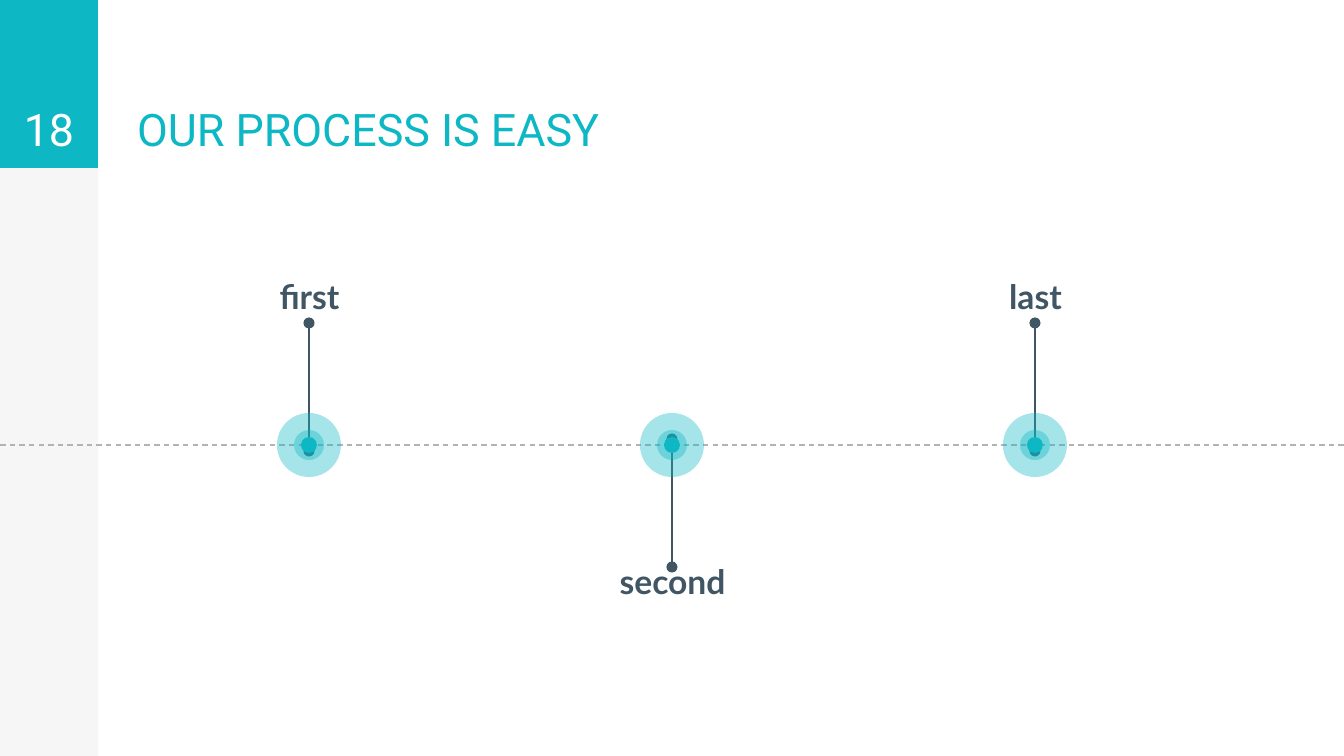
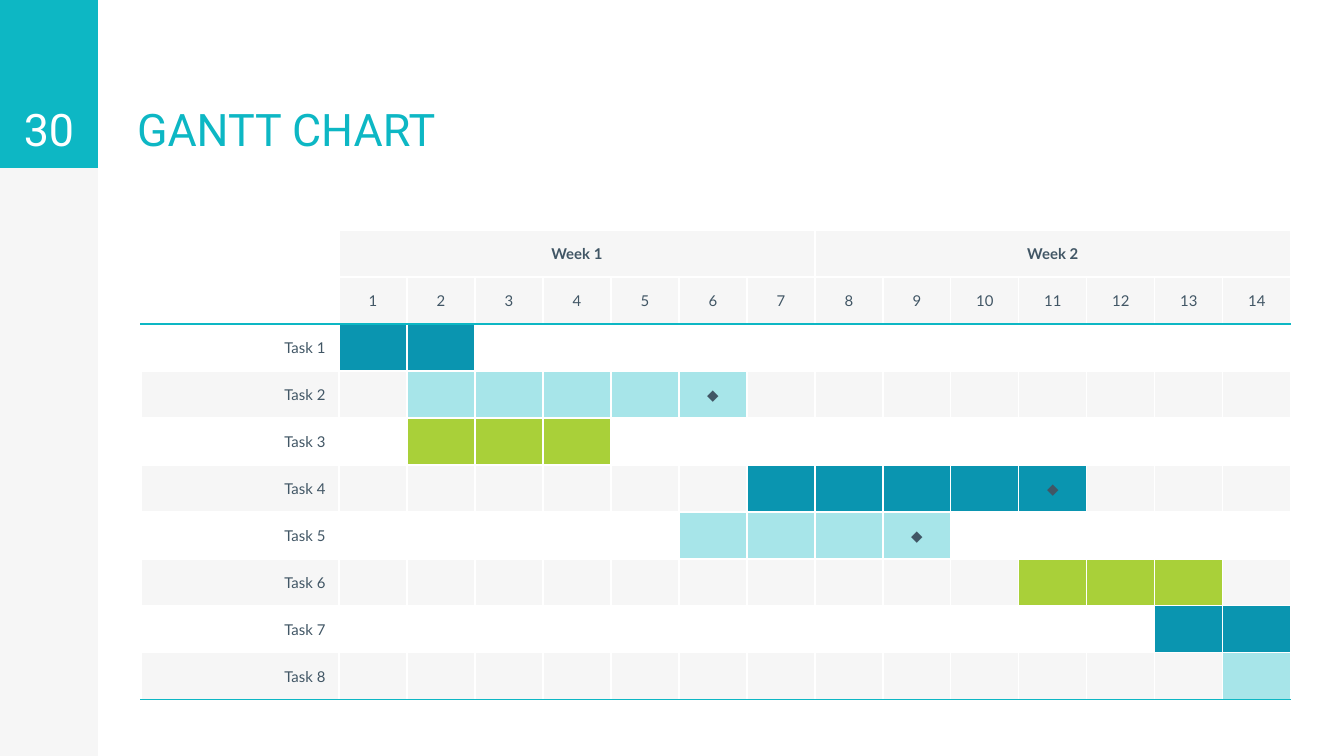
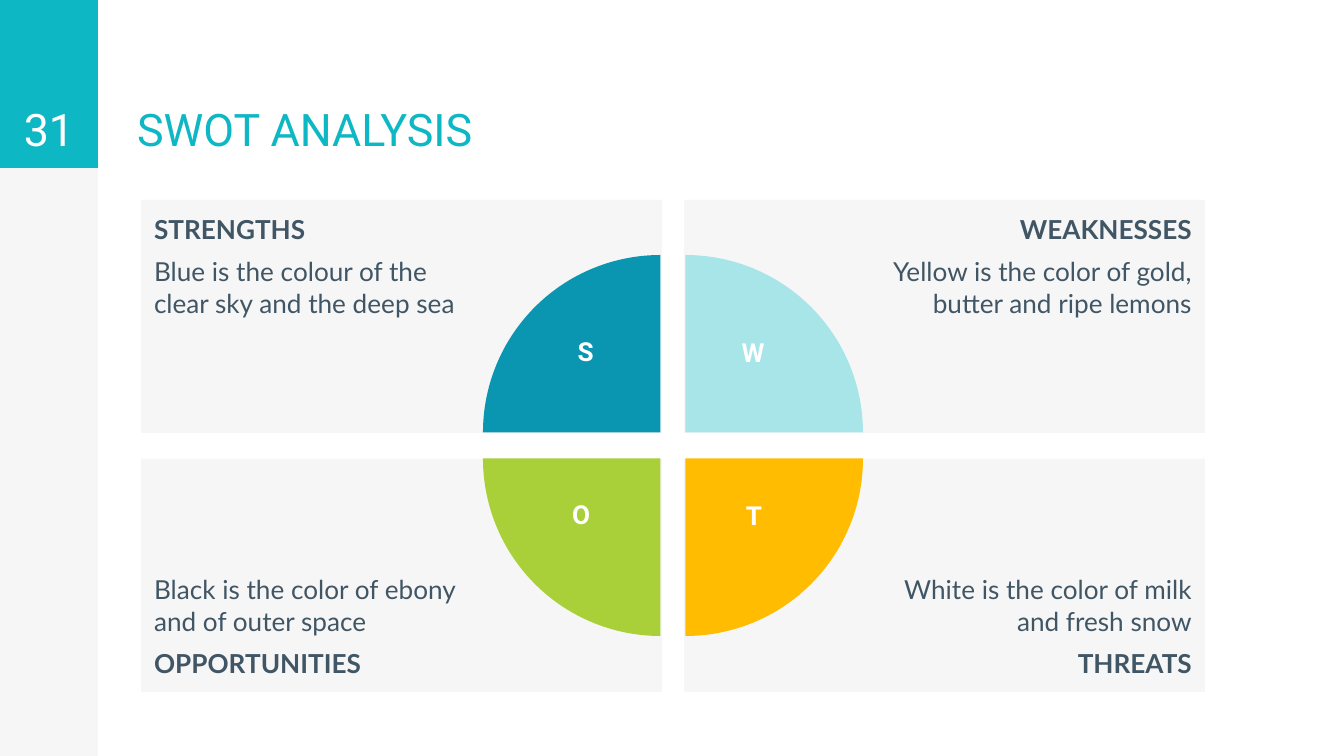
"""Build a process timeline, a Gantt chart and a SWOT analysis slide."""
from dataclasses import dataclass

from lxml import etree
from pptx import Presentation
from pptx.dml.color import RGBColor
from pptx.enum.dml import MSO_LINE
from pptx.enum.shapes import MSO_CONNECTOR, MSO_SHAPE
from pptx.enum.text import MSO_ANCHOR, MSO_AUTO_SIZE, PP_ALIGN
from pptx.oxml.ns import qn
from pptx.util import Pt

PX = 6804
RECTANGLE, OVAL, PIE = MSO_SHAPE.RECTANGLE, MSO_SHAPE.OVAL, MSO_SHAPE.PIE
LEFT, CENTER, RIGHT = PP_ALIGN.LEFT, PP_ALIGN.CENTER, PP_ALIGN.RIGHT
TOP, MIDDLE, BOTTOM = MSO_ANCHOR.TOP, MSO_ANCHOR.MIDDLE, MSO_ANCHOR.BOTTOM
STRAIGHT = MSO_CONNECTOR.STRAIGHT
DASH, SOLID = MSO_LINE.DASH, MSO_LINE.SOLID


@dataclass(frozen=True)
class Theme:
    teal: str = "0DB7C4"
    blue: str = "0A95B0"
    pale: str = "A7E5E9"
    green: str = "A9D039"
    amber: str = "FFBC00"
    ink: str = "415665"
    panel: str = "F6F6F6"
    dash: str = "B3B3B3"
    white: str = "FFFFFF"
    heading: str = "Roboto"
    body: str = "Lato"
    title_size: int = 24
    label_size: int = 18
    text_size: int = 14
    table_size: int = 8
    hairline: float = 0.75


THEME = Theme()


def add_panel(shapes, preset, left, top, width, height, colour):
    panel = shapes.add_shape(preset, left * PX, top * PX, width * PX, height * PX)
    panel.shadow.inherit = False
    panel.fill.solid()
    panel.fill.fore_color.rgb = RGBColor.from_string(colour)
    panel.line.fill.background()
    return panel


def add_span(para, text, font, size, colour, align=CENTER, bold=False):
    para.alignment = align
    span = para.add_run()
    span.text = text
    span.font.name = font
    span.font.size = Pt(size)
    span.font.bold = bold
    span.font.color.rgb = RGBColor.from_string(colour)


deck = Presentation()
deck.slide_width, deck.slide_height = 1344 * PX, 756 * PX
layout = deck.slide_layouts[5]
headings = [("18", "OUR PROCESS IS EASY"), ("30", "GANTT CHART"), ("31", "SWOT ANALYSIS")]
pages = [deck.slides.add_slide(layout) for heading in headings]
timeline_page, gantt_page, swot_page = pages

bands = [(756, THEME.panel), (168, THEME.teal)]
for order, (height, colour) in enumerate(bands, start=2):
    band = add_panel(timeline_page.shapes, RECTANGLE, 0, 0, 98, height, colour)
    band.element.nvSpPr.cNvPr.id = 100 + order
    layout.shapes.element.insert(order, band.element)

for page, (number, heading) in zip(pages, headings):
    title = page.shapes.title
    title.left, title.top, title.width, title.height = 124 * PX, 1 * PX, 523 * PX, 168 * PX
    number_box = page.shapes.add_textbox(0, 0, 98 * PX, 168 * PX)
    for box, text, colour, align in [
        (title, heading, THEME.teal, LEFT),
        (number_box, number, THEME.white, CENTER),
    ]:
        frame = box.text_frame
        frame.word_wrap = True
        frame.auto_size = MSO_AUTO_SIZE.NONE
        frame.vertical_anchor = BOTTOM
        frame.margin_left = frame.margin_right = frame.margin_top = frame.margin_bottom = 13 * PX
        add_span(frame.paragraphs[0], text, THEME.heading, THEME.title_size, colour, align)

axis_y = 445
steps = [
    (309 + 363 * index, text, direction)
    for index, (text, direction) in enumerate([("first", -1), ("second", 1), ("last", -1)])
]
lines = [(0, axis_y, 1344, axis_y, THEME.dash, DASH)]
lines += [
    (center, axis_y - 6 * direction, center, axis_y + 122 * direction, THEME.ink, SOLID)
    for center, text, direction in steps
]
for start_x, start_y, end_x, end_y, colour, dash in lines:
    line = timeline_page.shapes.add_connector(
        STRAIGHT, start_x * PX, start_y * PX, end_x * PX, end_y * PX
    )
    line.line.color.rgb = RGBColor.from_string(colour)
    line.line.width = Pt(THEME.hairline)
    line.line.dash_style = dash
    properties = line.element.spPr
    if dash == SOLID:
        for end in ("a:headEnd", "a:tailEnd"):
            etree.SubElement(properties.find(qn("a:ln")), qn(end), type="oval")
    etree.SubElement(properties, qn("a:effectLst"))

for center, text, direction in steps:
    label_top = 263 if direction < 0 else 548
    label = timeline_page.shapes.add_textbox((center - 91) * PX, label_top * PX, 183 * PX, 60 * PX)
    frame = label.text_frame
    frame.word_wrap = True
    frame.margin_top = frame.margin_bottom = 13 * PX
    add_span(frame.paragraphs[0], text, THEME.body, THEME.label_size, THEME.ink, bold=True)

for center, text, direction in steps:
    marker = timeline_page.shapes.add_group_shape()
    for size, opacity in [(64, 37), (30, 37), (16, 100)]:
        ring = add_panel(
            marker.shapes, OVAL, center - size // 2, axis_y - size // 2, size, size, THEME.teal
        )
        if opacity < 100:
            tint = ring.element.spPr.find(".//" + qn("a:srgbClr"))
            etree.SubElement(tint, qn("a:alpha"), val=str(opacity * 1000))

tasks = [
    (1, 2, THEME.blue, False),
    (2, 6, THEME.pale, True),
    (2, 4, THEME.green, False),
    (7, 11, THEME.blue, True),
    (6, 9, THEME.pale, True),
    (11, 13, THEME.green, False),
    (13, 14, THEME.blue, False),
    (14, 14, THEME.pale, False),
]
gantt = gantt_page.shapes.add_table(10, 15, 141 * PX, 230 * PX, 1150 * PX, 470 * PX).table
gantt.first_row = gantt.horz_banding = False
for column_index, column in enumerate(gantt.columns):
    column.width = (68 if column_index else 198) * PX
for row in gantt.rows:
    row.height = 47 * PX

texts = {(0, 1): "Week 1", (0, 8): "Week 2"}
fills = {(row, day): THEME.panel for row in (0, 1) for day in range(1, 15)}
for day in range(1, 15):
    texts[1, day] = str(day)
for row, (first, last, colour, milestone) in enumerate(tasks, start=2):
    texts[row, 0] = f"Task {row - 1}"
    if milestone:
        texts[row, last] = "◆"
    for column in range(15):
        if first <= column <= last:
            fills[row, column] = colour
        elif row % 2:
            fills[row, column] = THEME.panel

for row in range(10):
    edges = [
        ("a:lnL", THEME.white),
        ("a:lnR", THEME.white),
        ("a:lnT", THEME.teal if row == 2 else THEME.white),
        ("a:lnB", THEME.teal if row in (1, 9) else THEME.white),
    ]
    for column in range(15):
        cell = gantt.cell(row, column)
        cell.vertical_anchor = MIDDLE
        if (row, column) in fills:
            cell.fill.solid()
            cell.fill.fore_color.rgb = RGBColor.from_string(fills[row, column])
        else:
            cell.fill.background()
        if (row, column) in texts:
            add_span(
                cell.text_frame.paragraphs[0], texts[row, column], THEME.body, THEME.table_size,
                THEME.ink, CENTER if column else RIGHT, bold=row == 0,
            )
        else:
            cell.margin_top = cell.margin_bottom = 0
        properties = cell._tc.get_or_add_tcPr()
        for order, (tag, colour) in enumerate(edges):
            edge = etree.Element(qn(tag), w=str(Pt(THEME.hairline)))
            paint = etree.SubElement(edge, qn("a:solidFill"))
            etree.SubElement(paint, qn("a:srgbClr"), val=colour)
            properties.insert(order, edge)

for week_start in (1, 8):
    gantt.cell(0, week_start).merge(gantt.cell(0, week_start + 6))

cards = [
    (141, 200, LEFT, TOP, [
        ("STRENGTHS", True), ("Blue is the colour of the clear sky and the deep sea", False)]),
    (684, 200, RIGHT, TOP, [
        ("WEAKNESSES", True), ("Yellow is the color of gold, butter and ripe lemons", False)]),
    (141, 459, LEFT, BOTTOM, [
        ("Black is the color of ebony and of outer space", False), ("OPPORTUNITIES", True)]),
    (684, 459, RIGHT, BOTTOM, [
        ("White is the color of milk and fresh snow", False), ("THREATS", True)]),
]
for left, top, align, anchor, card_lines in cards:
    card = add_panel(swot_page.shapes, RECTANGLE, left, top, 521, 233, THEME.panel)
    frame = card.text_frame
    frame.word_wrap = True
    frame.vertical_anchor = anchor
    frame.margin_left = (13 if align == LEFT else 202) * PX
    frame.margin_right = (202 if align == LEFT else 13) * PX
    frame.margin_top = frame.margin_bottom = 13 * PX
    for index, (text, bold) in enumerate(card_lines):
        para = frame.add_paragraph() if index else frame.paragraphs[0]
        if index:
            para.space_before = para.space_after = Pt(6)
        add_span(para, text, THEME.body, THEME.text_size, THEME.ink, align, bold)

quarters = [
    (483, 255, THEME.blue),
    (508, 255, THEME.pale),
    (508, 281, THEME.amber),
    (483, 281, THEME.green),
]
for turn, (left, top, colour) in enumerate(quarters):
    quarter = add_panel(swot_page.shapes, PIE, left, top, 355, 355, colour)
    quarter.adjustments[0], quarter.adjustments[1] = 108, 162
    quarter.rotation = 90 * turn

letters = [("S", 564, 329, 43), ("W", 714, 330, 78), ("O", 559, 492, 43), ("T", 731, 493, 46)]
for text, left, top, width in letters:
    letter = swot_page.shapes.add_textbox(left * PX, top * PX, width * PX, 67 * PX)
    letter.text_frame.word_wrap = True
    add_span(
        letter.text_frame.paragraphs[0], text, THEME.heading, THEME.text_size, THEME.white, bold=True
    )

deck.save("out.pptx")
